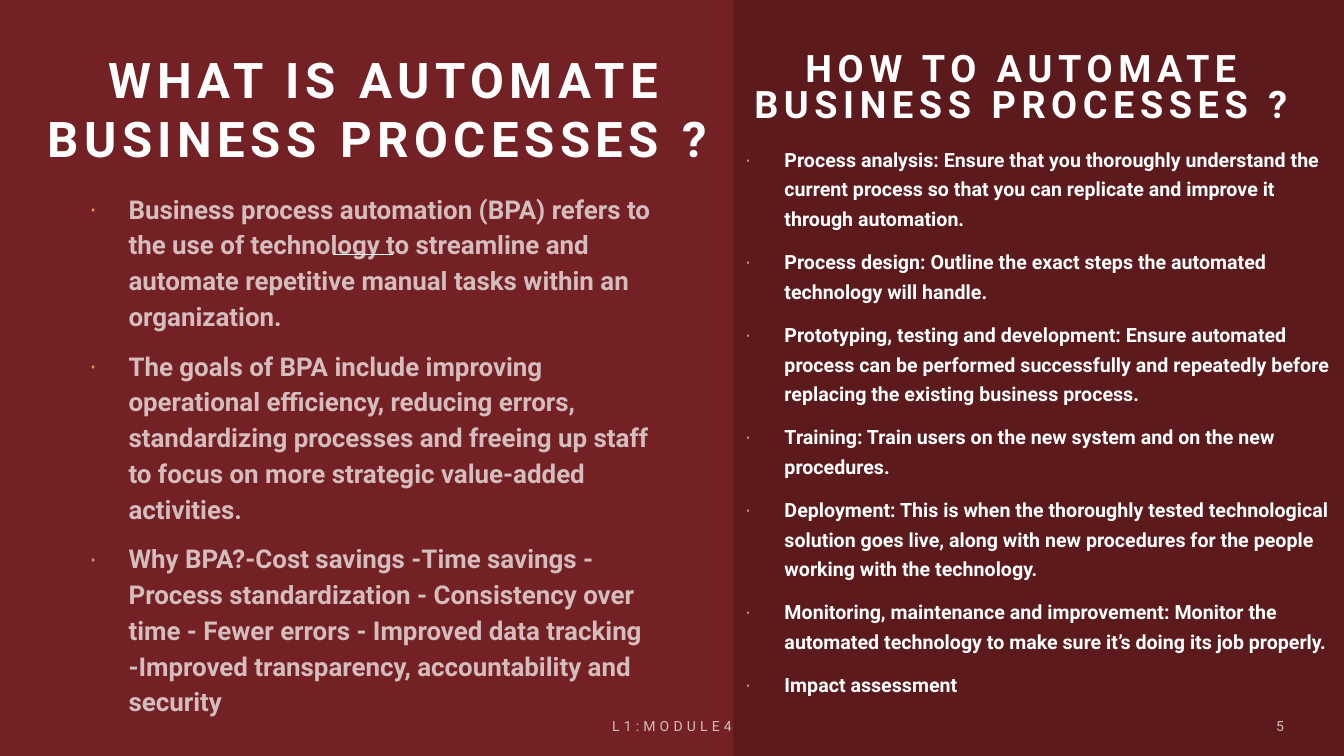
from dataclasses import dataclass

import pptx
import pptx.dml.color
import pptx.enum.shapes
import pptx.enum.text
import pptx.oxml
import pptx.oxml.ns
import pptx.util
from pptx.util import Cm

ALIGN = pptx.enum.text.PP_ALIGN
ANCHOR = pptx.enum.text.MSO_ANCHOR


@dataclass(frozen=True)
class Theme:
    font: str = "Roboto"
    background: str = "732124"
    panel: str = "000000"
    text: str = "FFFFFF"
    footer: str = "D5BCBD"
    bullet: str = "EF8C6A"
    panel_opacity: int = 20
    muted_opacity: int = 70
    title_size: float = 35.1
    heading_size: float = 27
    left_size: float = 18.5
    right_size: float = 14
    footer_size: float = 10
    title_tracking: float = 4
    footer_tracking: float = 3


THEME = Theme()

LEFT_POINTS = [
    "Business process automation (BPA) refers to the use of technology to streamline and automate "
    "repetitive manual tasks within an organization.",
    "The goals of BPA include improving operational efficiency, reducing errors, standardizing "
    "processes and freeing up staff to focus on more strategic value-added activities.",
    "Why BPA?-Cost savings -Time savings - Process standardization - Consistency over time - "
    "Fewer errors - Improved data tracking -Improved transparency, accountability and security",
]
RIGHT_POINTS = [
    "Process analysis: Ensure that you thoroughly understand the current process so that you can "
    "replicate and improve it through automation.",
    "Process design: Outline the exact steps the automated technology will handle.",
    "Prototyping, testing and development: Ensure automated process can be performed successfully "
    "and repeatedly before replacing the existing business process.",
    "Training: Train users on the new system and on the new procedures.",
    "Deployment: This is when the thoroughly tested technological solution goes live, along with "
    "new procedures for the people working with the technology.",
    "Monitoring, maintenance and improvement: Monitor the automated technology to make sure it’s "
    "doing its job properly.",
    "Impact assessment",
]


def rgb(color):
    return pptx.dml.color.RGBColor.from_string(color)


def add_element(parent, tag, **attributes):
    element = pptx.oxml.parse_xml(f"<{tag} {pptx.oxml.ns.nsdecls('a')}/>")
    for name, value in attributes.items():
        element.set(name, str(value))
    parent.append(element)
    return element


def paint(fill, color, opacity=100):
    fill.solid()
    fill.fore_color.rgb = rgb(color)
    if opacity < 100:
        color_element = fill._xPr.find(".//" + pptx.oxml.ns.qn("a:srgbClr"))
        add_element(color_element, "a:alpha", val=opacity * 1000)


def place(shape, box):
    shape.left, shape.top, shape.width, shape.height = (Cm(value) for value in box)


def prepare_frame(shape, anchor):
    frame = shape.text_frame
    frame.word_wrap = True
    frame.auto_size = pptx.enum.text.MSO_AUTO_SIZE.NONE
    frame.vertical_anchor = anchor
    frame.margin_left = frame.margin_top = frame.margin_right = frame.margin_bottom = 0
    return frame


def style_font(paragraph, size, color=THEME.text, bold=False, opacity=100, tracking=0):
    font = paragraph.font
    font.name = THEME.font
    font.size = pptx.util.Pt(size)
    font.bold = bold
    paint(font.fill, color, opacity)
    if tracking:
        font._element.set("spc", str(int(tracking * 100)))


def write_line(shape, box, text, alignment, anchor, line_spacing=1.0, **font_style):
    place(shape, box)
    frame = prepare_frame(shape, anchor)
    frame.text = text
    paragraph = frame.paragraphs[0]
    paragraph.alignment = alignment
    paragraph.line_spacing = line_spacing
    style_font(paragraph, **font_style)


def write_bullets(shape, box, points, line_spacing, **font_style):
    place(shape, box)
    frame = prepare_frame(shape, ANCHOR.TOP)
    frame.text = "\n".join(points)
    for index, paragraph in enumerate(frame.paragraphs):
        properties = paragraph._p.get_or_add_pPr()
        properties.set("marL", str(Cm(1)))
        properties.set("indent", str(-Cm(1)))
        bullet_color = add_element(properties, "a:buClr")
        add_element(bullet_color, "a:srgbClr", val=THEME.bullet)
        add_element(properties, "a:buChar", char="·")
        paragraph.line_spacing = line_spacing
        paragraph.space_before = pptx.util.Pt(10 if index else 0)
        style_font(paragraph, bold=True, **font_style)


def add_text_box(slide):
    return slide.shapes.add_textbox(0, 0, Cm(1), Cm(1))


def add_panel(slide, box):
    panel = slide.shapes.add_shape(
        pptx.enum.shapes.MSO_SHAPE.RECTANGLE, *(Cm(value) for value in box))
    panel.shadow.inherit = False
    paint(panel.fill, THEME.panel, THEME.panel_opacity)
    panel.line.fill.background()
    return panel


def add_rule(slide, left, right, height):
    rule = slide.shapes.add_connector(
        pptx.enum.shapes.MSO_CONNECTOR.STRAIGHT, Cm(left), Cm(height), Cm(right), Cm(height))
    rule.line.color.rgb = rgb(THEME.text)
    rule.line.width = pptx.util.Pt(1)
    add_element(rule._element.spPr, "a:effectLst")
    return rule


def send_to_back(slide, shapes):
    tree = slide.shapes.element
    for position, shape in enumerate(shapes, start=2):
        tree.insert(position, shape._element)


def main():
    presentation = pptx.Presentation()
    presentation.slide_width = Cm(33.87)
    presentation.slide_height = Cm(19.05)
    slide = presentation.slides.add_slide(presentation.slide_layouts.get_by_name("Two Content"))
    paint(slide.background.fill, THEME.background)

    # Backdrop
    rule = add_rule(slide, 8.4, 9.9, 6.42)
    panel = add_panel(slide, (18.48, 0, 15.39, 19.05))
    send_to_back(slide, [rule, panel])

    # Headings
    write_line(slide.shapes.title, (1, 0.64, 17.48, 3.58), "WHAT IS AUTOMATE BUSINESS PROCESSES ? ",
               ALIGN.CENTER, ANCHOR.BOTTOM, size=THEME.title_size, bold=True,
               tracking=THEME.title_tracking)
    write_line(add_text_box(slide), (18.97, 0.64, 13.66, 2.54),
               "HOW TO AUTOMATE BUSINESS PROCESSES ? ", ALIGN.CENTER, ANCHOR.BOTTOM,
               line_spacing=0.8, size=THEME.heading_size, bold=True,
               tracking=THEME.title_tracking)

    # Bullet lists
    write_bullets(slide.placeholders[1], (2.24, 4.75, 14.68, 12.07), LEFT_POINTS, 1.15,
                  size=THEME.left_size, opacity=THEME.muted_opacity)
    write_bullets(slide.placeholders[2], (18.77, 3.58, 14.78, 14.25), RIGHT_POINTS, 1.25,
                  size=THEME.right_size)

    # Footer and page number, in an opaque tint so that tracked text draws in full
    footer_style = dict(size=THEME.footer_size, color=THEME.footer,
                        tracking=THEME.footer_tracking)
    write_line(add_text_box(slide), (9.19, 17.78, 15.49, 1.02), "L1:MODULE4",
               ALIGN.CENTER, ANCHOR.MIDDLE, **footer_style)
    write_line(add_text_box(slide), (26.24, 17.78, 6.12, 1.02), "5",
               ALIGN.RIGHT, ANCHOR.MIDDLE, **footer_style)

    presentation.save("out.pptx")


if __name__ == "__main__":
    main()
